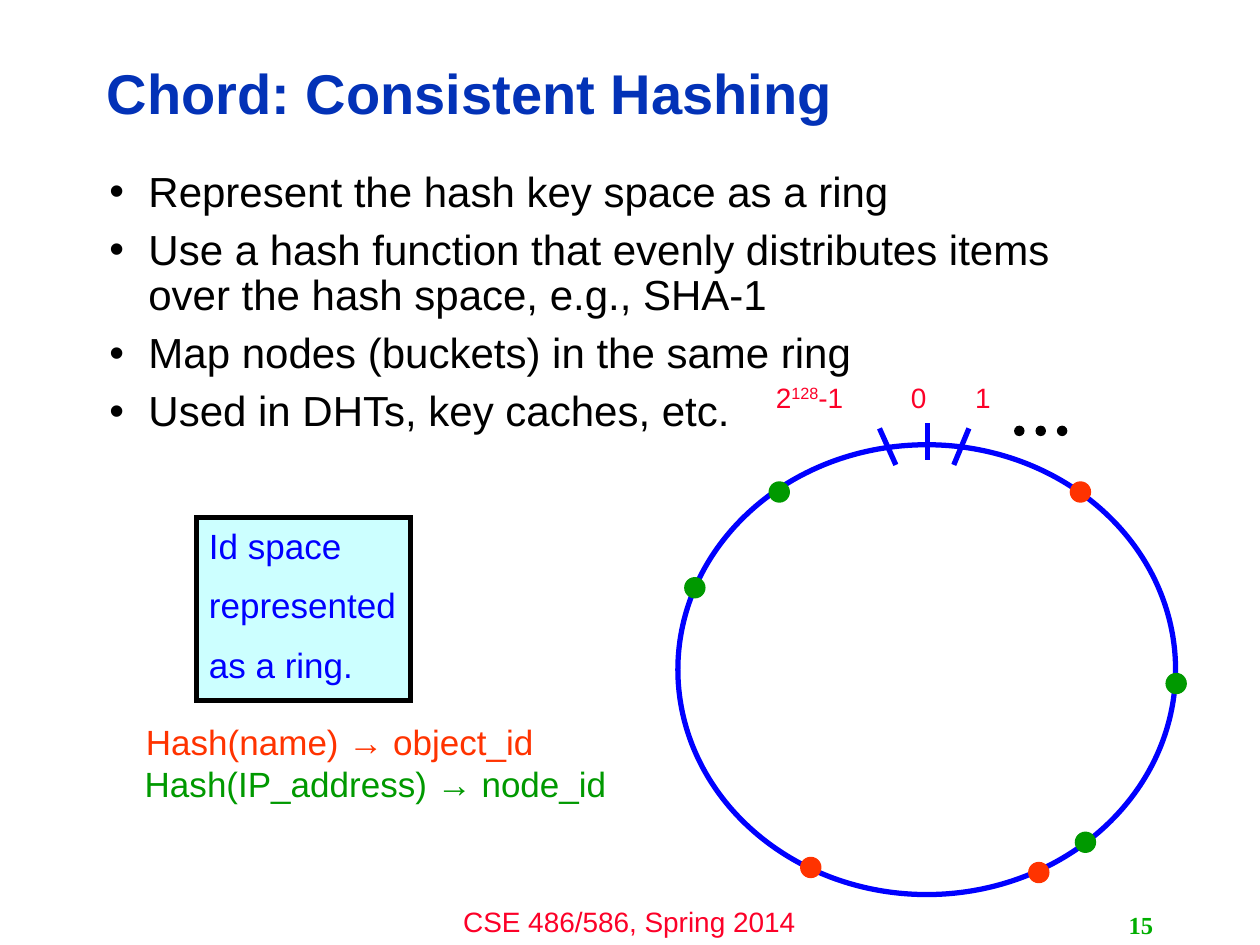
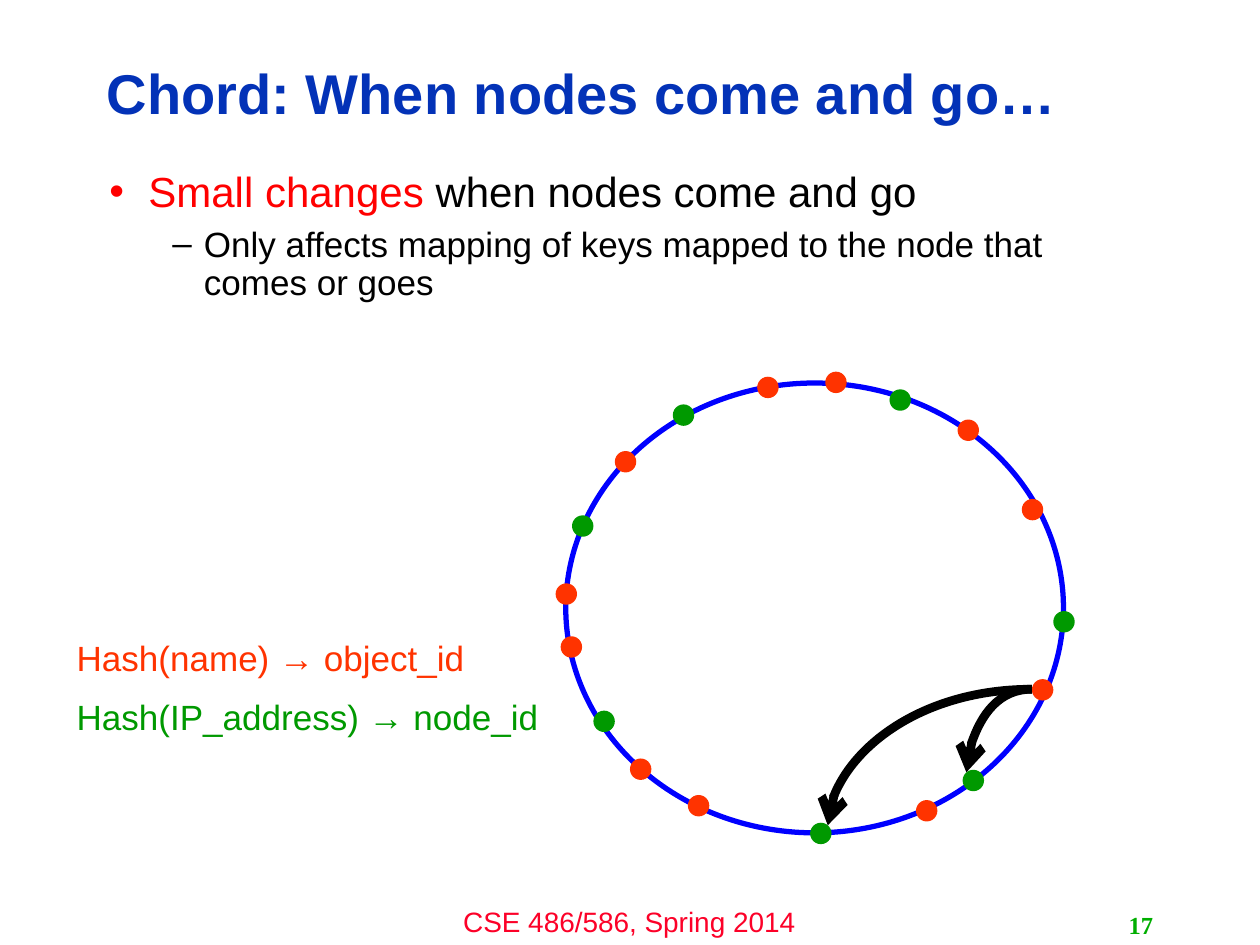
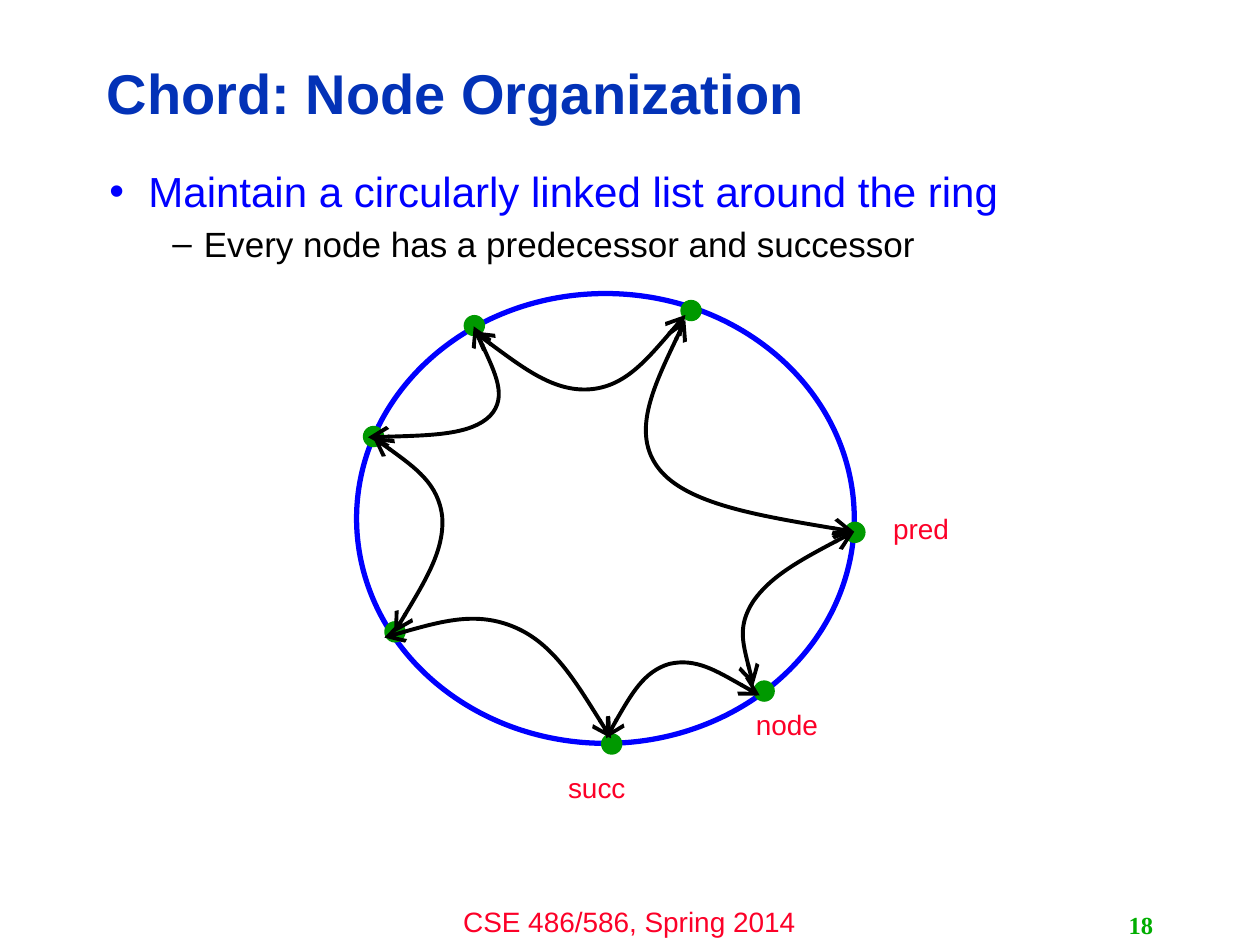
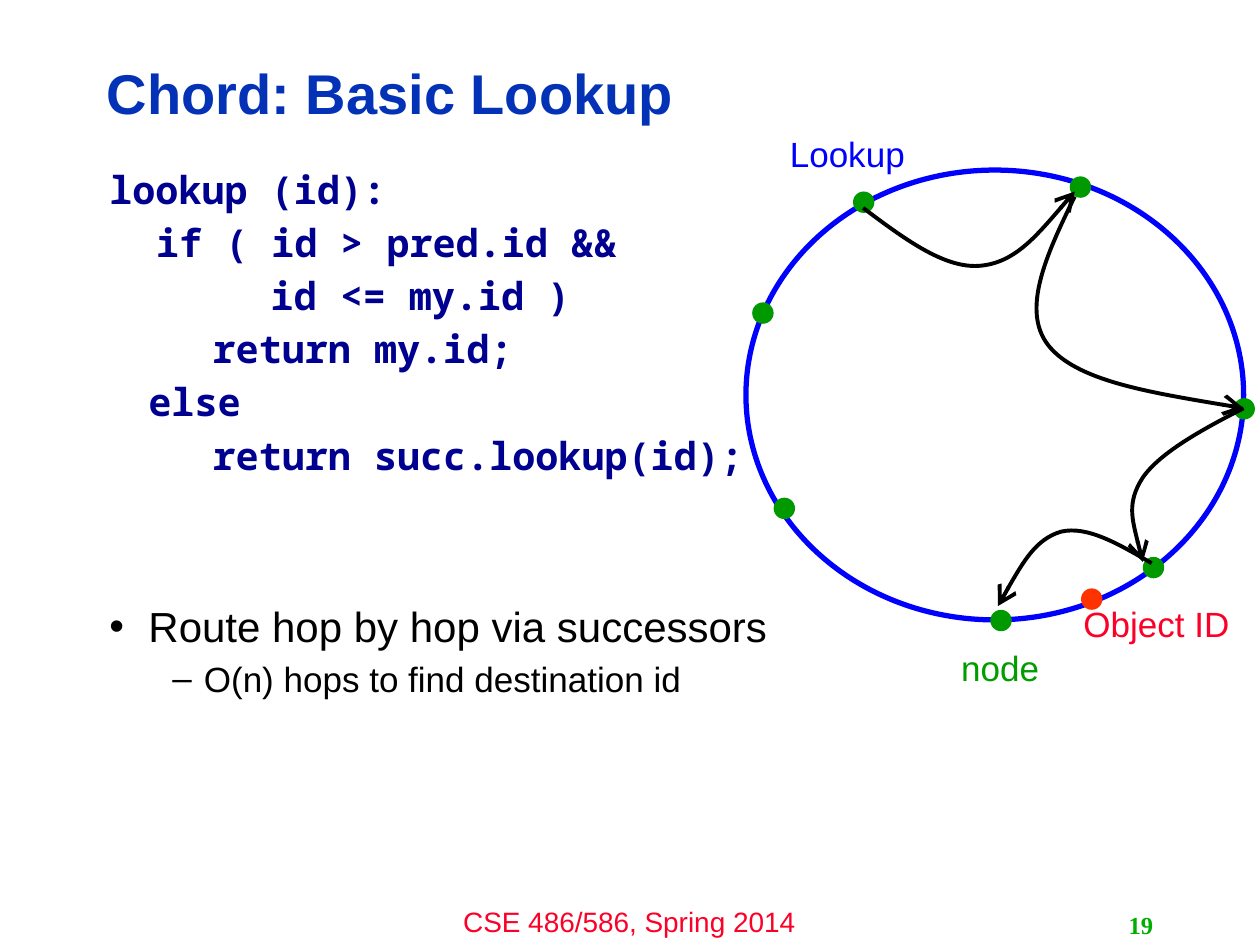
from lxml import etree
from pptx import Presentation, util as u
from pptx.dml.color import RGBColor
from pptx.enum import shapes as kinds, text as t
from pptx.oxml.ns import qn

BLUE, GREEN, ORANGE, RED, BLACK = "0000FF", "009900", "FF3300", "FC0128", "000000"
TITLE_BLUE, CODE_BLUE = "0332B7", "000090"
RING_SIZE, DOT_SIZE = (3.95, 3.57), 0.17
BODY_BOX = (0.77, 1.31, 8.37, 5.39)

# Dot corners and hop curves, measured from the ring's top left corner
NODES = [(3.87, 1.81), (0.05, 1.05), (3.15, 3.07), (0.85, 0.17),
         (0.22, 2.6), (1.94, 3.49), (2.57, 0.05)]
OBJECTS = [(3.11, 0.29), (2.78, 3.31), (0.97, 3.27)]
MORE_OBJECTS = [(3.62, 0.92), (3.7, 2.35), (2.06, -0.09), (1.52, -0.05),
                (0.39, 0.54), (-0.08, 1.59), (-0.04, 2.01), (0.51, 2.98)]
HOPS = [
    [(3.15, 3.11), (3.09, 2.88), (3.02, 2.64), (3.15, 2.44), (3.29, 2.24), (3.62, 2.06), (3.95, 1.89)],
    [(3.95, 1.89), (3.29, 1.78), (2.62, 1.67), (2.4, 1.39), (2.18, 1.11), (2.39, 0.66), (2.61, 0.21)],
    [(2.61, 0.17), (2.37, 0.45), (2.13, 0.74), (1.85, 0.76), (1.57, 0.78), (1.25, 0.54), (0.93, 0.3)],
    [(0.93, 0.26), (1.06, 0.54), (1.2, 0.82), (1.06, 0.97), (0.91, 1.12), (0.5, 1.13), (0.09, 1.14)],
    [(0.13, 1.14), (0.39, 1.32), (0.65, 1.51), (0.68, 1.77), (0.7, 2.03), (0.5, 2.36), (0.3, 2.69)],
    [(0.22, 2.73), (0.59, 2.62), (0.96, 2.52), (1.26, 2.65), (1.56, 2.78), (1.79, 3.16), (2.02, 3.53)],
    [(1.98, 3.53), (2.13, 3.26), (2.28, 3), (2.48, 2.94), (2.69, 2.89), (2.94, 3.04), (3.2, 3.19)],
]

deck = Presentation()
deck.slide_width, deck.slide_height = u.Inches(10), u.Inches(7.5)


def rgb(value):
    return RGBColor.from_string(value)


def inches(*values):
    return [u.Inches(v) for v in values]


def apply(target, formats):
    for name, value in formats.items():
        setattr(target, name, value)


# ---- Text ----
def fill_paragraph(para, runs, size, font="Arial", bold=False, before=50, line=None,
                   margin=0, hang=0, bullet=None, align=None):
    """Runs are (text, colour) or (text, colour, baseline)."""
    apply(para, {"alignment": align, "line_spacing": line, "space_before": u.Pt(0)})
    props = para._p.get_or_add_pPr()
    props.set("marL", str(u.Inches(margin)))
    props.set("indent", str(u.Inches(-hang)))
    spacing = props.find(qn("a:spcBef"))
    spacing.clear()
    etree.SubElement(spacing, qn("a:spcPct")).set("val", str(before * 1000))
    if bullet:
        etree.SubElement(props, qn("a:buFont")).set("typeface", "Arial")
        etree.SubElement(props, qn("a:buChar")).set("char", bullet)
    else:
        etree.SubElement(props, qn("a:buNone"))
    for words, colour, *baseline in runs:
        run = para.add_run()
        run.text = words
        apply(run.font, {"size": u.Pt(size), "name": font, "bold": bold})
        run.font.color.rgb = rgb(colour)
        if baseline:
            run._r.get_or_add_rPr().set("baseline", str(baseline[0] * 1000))


def fill_frame(frame, paragraphs, **formats):
    apply(frame, {"word_wrap": True, **formats})
    for i, spec in enumerate(paragraphs):
        fill_paragraph(frame.add_paragraph() if i else frame.paragraphs[0], **spec)


def text_box(slide, box, paragraphs, **formats):
    fill_frame(slide.shapes.add_textbox(*inches(*box)).text_frame, paragraphs, **formats)


def label(slide, box, *lines, size=20):
    """Unwrapped label; each line is a list of runs."""
    text_box(slide, box, [dict(runs=runs, size=size) for runs in lines],
             word_wrap=False, auto_size=t.MSO_AUTO_SIZE.SHAPE_TO_FIT_TEXT)


def point(*runs):
    return dict(runs=runs, size=24, before=30, line=0.9, margin=0.31, hang=0.31, bullet="•")


def subpoint(words):
    return dict(runs=[(words, BLACK)], size=20, before=30, line=0.9,
                margin=0.75, hang=0.25, bullet="–")


def code_line(words, margin):
    return dict(runs=[(words, CODE_BLUE)], size=22, font="Noto Sans Mono", bold=True,
                before=30, line=0.9, margin=margin)


# ---- Shapes ----
def shape(slide, kind, box, fill=None, line=None, width=3):
    part = slide.shapes.add_shape(kind, *inches(*box))
    part.shadow.inherit = False
    if fill:
        part.fill.solid()
        part.fill.fore_color.rgb = rgb(fill)
    else:
        part.fill.background()
    if line:
        style_line(part, line, width)
        etree.SubElement(part.line._get_or_add_ln(), qn("a:miter")).set("lim", "800000")
    else:
        part.line.fill.background()
    return part


def oval(slide, box, **look):
    return shape(slide, kinds.MSO_SHAPE.OVAL, box, **look)


def style_line(part, colour, width, ends=(), head_size="med"):
    part.line.color.rgb = rgb(colour)
    part.line.width = u.Pt(width)
    for end in ends:
        arrowhead = etree.SubElement(part.line._get_or_add_ln(), qn("a:" + end))
        for key, value in (("type", "arrow"), ("w", head_size), ("len", head_size)):
            arrowhead.set(key, value)


def connector(slide, start, end, colour, width, curved=False, ends=()):
    kind = kinds.MSO_CONNECTOR.CURVE if curved else kinds.MSO_CONNECTOR.STRAIGHT
    part = slide.shapes.add_connector(kind, *inches(*start, *end))
    style_line(part, colour, width, ends)
    props = part._element.spPr
    etree.SubElement(props, qn("a:effectLst"))
    if curved:  # a quarter bend
        props.find(qn("a:prstGeom")).set("prst", "curvedConnector2")


def hop(slide, origin, points, ends):
    """Bezier arrow: the segments become cubic curves, three points each."""
    first, *rest = [(u.Inches(origin[0] + x), u.Inches(origin[1] + y)) for x, y in points]
    builder = slide.shapes.build_freeform(*first)
    builder.add_line_segments(rest, close=False)
    arrow = builder.convert_to_shape()
    arrow.shadow.inherit = False
    arrow.fill.background()
    style_line(arrow, BLACK, 2.25, ends, head_size="lg")
    outline = next(arrow._element.iter(qn("a:path")))
    segments = outline.findall(qn("a:lnTo"))
    for i in range(0, len(segments), 3):
        curve = etree.SubElement(outline, qn("a:cubicBezTo"))
        for segment in segments[i:i + 3]:
            curve.append(segment[0])
            outline.remove(segment)


def ring(slide, origin, nodes=(), objects=()):
    oval(slide, (*origin, *RING_SIZE), line=BLUE)
    for dots, colour in ((nodes, GREEN), (objects, ORANGE)):
        for x, y in dots:
            oval(slide, (origin[0] + x, origin[1] + y, DOT_SIZE, DOT_SIZE), fill=colour)


# ---- Slides ----
def new_slide(title, number):
    slide = deck.slides.add_slide(deck.slide_layouts[6])
    text_box(slide, (3.33, 7.13, 3.33, 0.37),
             [dict(runs=[("CSE 486/586, Spring 2014", RED)], size=16, align=t.PP_ALIGN.CENTER)])
    text_box(slide, (0.75, 0.36, 7.98, 0.81),
             [dict(runs=[(title, TITLE_BLUE)], size=32, bold=True, before=0, line=0.9)],
             vertical_anchor=t.MSO_ANCHOR.MIDDLE)
    text_box(slide, (7.17, 7.18, 2.08, 0.32),
             [dict(runs=[(str(number), "00AE00")], size=14, font="Times New Roman",
                   bold=True, before=0, align=t.PP_ALIGN.RIGHT)],
             vertical_anchor=t.MSO_ANCHOR.MIDDLE)
    return slide


HASH_NAME = [("Hash(name) → object_id", ORANGE)]
HASH_ADDRESS = [("Hash(IP_address) → node_id", GREEN)]


def id_scale(slide, x, y):
    """Ticks, their numbers and the ellipsis above the ring; x, y is the middle tick's top."""
    for top, bottom, drop in ((-0.38, -0.25, 0.04), (0, 0, 0), (0.33, 0.21, 0.04)):
        connector(slide, (x + top, y + drop), (x + bottom, y + drop + 0.29), BLUE, 3)
    numbers = [(-1.3, 1.05, [("2", RED), ("128", RED, 30), ("-1", RED)]),
               (-0.23, 0.39, [("0", RED)]), (0.28, 0.39, [("1", RED)])]
    for left, width, runs in numbers:
        label(slide, (x + left, y - 0.39, width, 0.5), runs, size=16)
    for i in range(3):
        oval(slide, (x + 0.71 + 0.17 * i, y + 0.04, 0.04, 0.04), line=BLACK)


def consistent_hashing():
    slide = new_slide("Chord: Consistent Hashing", 15)
    points = ["Represent the hash key space as a ring",
              "Use a hash function that evenly distributes items over the hash space, e.g., SHA-1",
              "Map nodes (buckets) in the same ring",
              "Used in DHTs, key caches, etc."]
    text_box(slide, BODY_BOX, [point((words, BLACK)) for words in points])
    ring(slide, (5.38, 3.53), NODES[:3] + [(0.72, 0.29)], OBJECTS)
    id_scale(slide, 7.36, 3.36)
    note = shape(slide, kinds.MSO_SHAPE.RECTANGLE, (1.56, 4.11, 1.7, 1.45), "CCFFFF", BLACK)
    fill_frame(note.text_frame,
               [dict(runs=[(words, BLUE)], size=20, align=t.PP_ALIGN.LEFT)
                for words in ("Id space", "represented", "as a ring.")],
               word_wrap=False, vertical_anchor=t.MSO_ANCHOR.TOP)
    label(slide, (1.06, 5.67, 3.3, 0.44), HASH_NAME)
    label(slide, (1.05, 6, 3.89, 0.44), HASH_ADDRESS)


def nodes_come_and_go():
    slide = new_slide("Chord: When nodes come and go…", 17)
    text_box(slide, BODY_BOX, [
        point(("Small changes", "FF0000"), (" when nodes come and go", BLACK)),
        subpoint("Only affects mapping of keys mapped to the node that comes or goes")])
    ring(slide, (4.49, 3.04), NODES, OBJECTS + MORE_OBJECTS)
    label(slide, (0.51, 5, 3.89, 0.94), HASH_NAME, HASH_ADDRESS)
    # The key moves from one node to the next
    for target in ((7.67, 6.13), (6.57, 6.55)):
        connector(slide, (8.19, 5.47), target, BLACK, 5, curved=True, ends=["tailEnd"])


def node_organization():
    slide = new_slide("Chord: Node Organization", 18)
    text_box(slide, BODY_BOX, [
        point(("Maintain a circularly linked list around the ring", BLUE)),
        subpoint("Every node has a predecessor and successor")])
    origin = (2.83, 2.33)
    ring(slide, origin, NODES)
    for points in HOPS:
        hop(slide, origin, points, ["headEnd", "tailEnd"])
    for words, left, top in (("node", 5.9, 5.57), ("pred", 6.99, 4.01), ("succ", 4.41, 6.07)):
        label(slide, (left, top, 0.95, 0.5), [(words, RED)], size=16)


def basic_lookup():
    slide = new_slide("Chord: Basic Lookup", 19)
    code = [("lookup (id):", 0), ("if ( id > pred.id &&", 0.37), ("id <= my.id )", 1.28),
            ("return my.id;", 0.82), ("else", 0.31), ("return succ.lookup(id);", 0.82)]
    left, top, width, _ = BODY_BOX
    text_box(slide, (left, top, width, 2.7), [code_line(*line) for line in code])
    text_box(slide, (left, top + 3.45, width, 1.1), [
        point(("Route hop by hop via successors", BLACK)),
        subpoint("O(n) hops to find destination id")])
    x, y = 5.92, 1.35
    ring(slide, (x, y), NODES, [(2.66, 3.32)])
    for points in HOPS[:3]:
        hop(slide, (x, y), points, ["headEnd"])
    hop(slide, (x + 0.02, y - 0.07), HOPS[-1], ["headEnd"])
    label(slide, (7.53, 5.08, 0.83, 0.44), [("node", "009D00")])
    label(slide, (6.17, 1, 1.12, 0.44), [("Lookup", BLUE)])
    label(slide, (8.5, 4.73, 1.37, 0.44), [("Object ID", RED)])


for build in (consistent_hashing, nodes_come_and_go, node_organization, basic_lookup):
    build()
deck.save("out.pptx")
